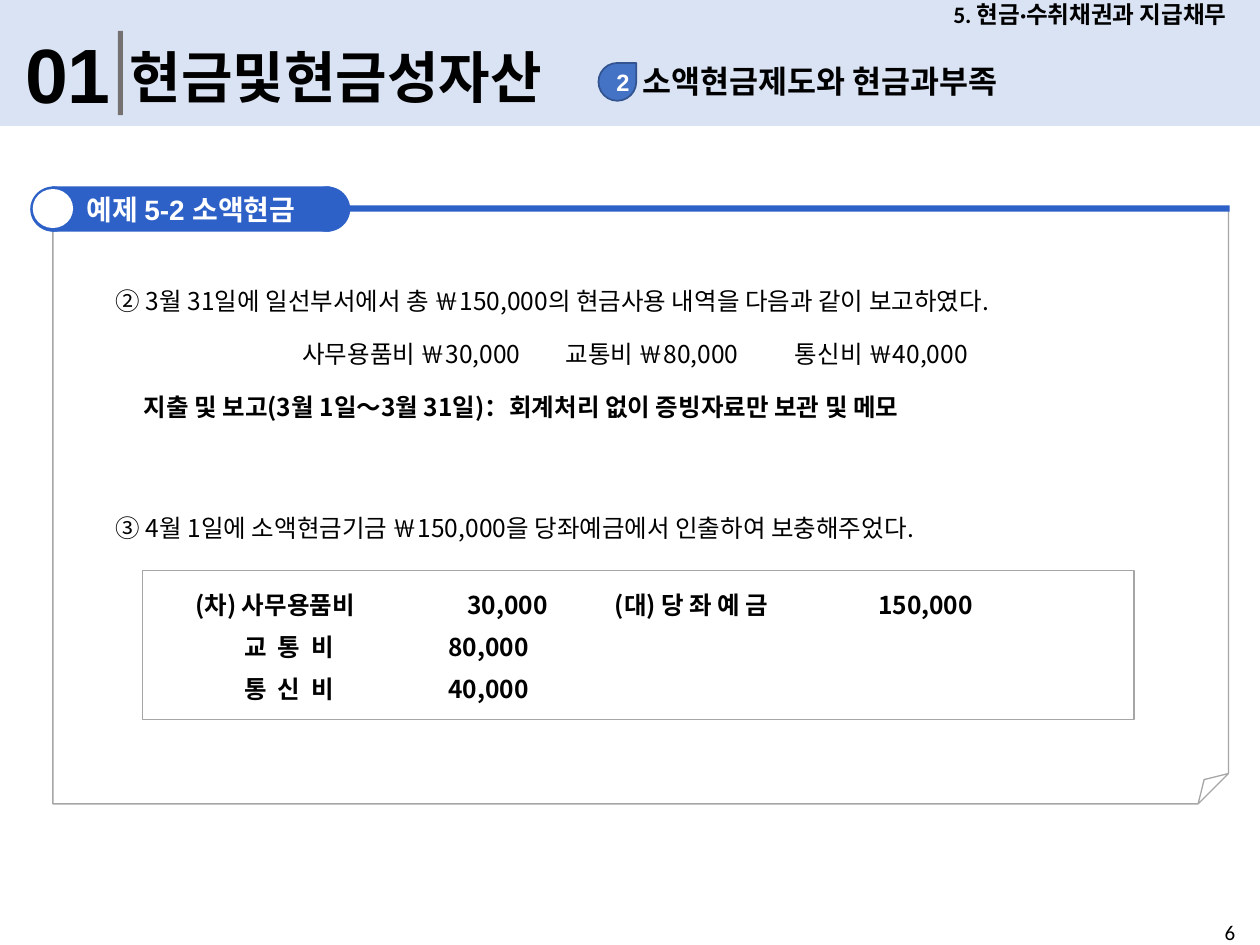
from lxml import etree
from pptx import Presentation
from pptx.dml.color import RGBColor
from pptx.enum.shapes import MSO_SHAPE
from pptx.enum.text import MSO_ANCHOR, PP_ALIGN
from pptx.oxml.ns import qn
from pptx.util import Inches, Pt

RECT, OVAL = MSO_SHAPE.RECTANGLE, MSO_SHAPE.OVAL
TEAR, FOLDED = MSO_SHAPE.TEAR, MSO_SHAPE.FOLDED_CORNER
TOP, MIDDLE = MSO_ANCHOR.TOP, MSO_ANCHOR.MIDDLE
LEFT, CENTER = PP_ALIGN.LEFT, PP_ALIGN.CENTER

COLUMNS, ROWS = 100, 75
HEAD, NUM, BODY = "Calibri", "Arial", "Noto Sans CJK KR"
BLACK, WHITE, GRAY, BAR = "000000", "FFFFFF", "A6A6A6", "767171"
BLUE, PALE, BADGE, BADGE_EDGE = "2D61C8", "DAE3F3", "4472C4", "325491"


def rgb(color):
    """Turn a hex string into a colour."""
    return RGBColor.from_string(color)


class Deck:
    """Hold the style and the current slide, measured on a grid of columns and rows."""

    def __init__(self):
        """Start a presentation with one blank slide."""
        self.prs = Presentation()
        self.prs.slide_width, self.prs.slide_height = Inches(10), Inches(7.5)
        self.s = self.prs.slides.add_slide(self.prs.slide_layouts[6])

    def x(self, columns):
        """Convert columns to a length."""
        return round(self.prs.slide_width * columns / COLUMNS)

    def y(self, rows):
        """Convert rows to a length."""
        return round(self.prs.slide_height * rows / ROWS)

    def box(self, left, top, width, height):
        """Convert a grid box to lengths."""
        return self.x(left), self.y(top), self.x(width), self.y(height)

    def shape(self, kind, at, fill=None, line=None, weight=0.75):
        """Add a preset shape."""
        sp = self.s.shapes.add_shape(kind, *self.box(*at))
        sp.shadow.inherit = False
        if fill:
            sp.fill.solid()
            sp.fill.fore_color.rgb = rgb(fill)
        else:
            sp.fill.background()
        if line:
            sp.line.color.rgb = rgb(line)
            sp.line.width = Pt(weight)
        else:
            sp.line.fill.background()
        return sp

    def text(self, at, content, size, wrap=False, **style):
        """Add a text box with one paragraph."""
        sp = self.s.shapes.add_textbox(*self.box(*at))
        self.frame(sp, wrap=wrap, anchor=style.pop("anchor", TOP))
        self.paragraph(sp, content, size, **style)
        return sp

    def frame(self, sp, wrap=True, anchor=TOP, inset=1):
        """Set wrapping, anchor and side margins of a shape's text."""
        tf = sp.text_frame
        tf.word_wrap, tf.vertical_anchor = wrap, anchor
        tf.margin_left = tf.margin_right = self.x(inset)

    def paragraph(self, sp, content, size, font=HEAD, color=BLACK, bold=True,
                  align=LEFT, tabs=(), indent=0, before=0, leading=None, spread=()):
        """Fill the empty first paragraph or append one, from a string or (text, font) runs."""
        tf = sp.text_frame
        p = tf.add_paragraph() if tf.text else tf.paragraphs[0]
        pPr = p._p.get_or_add_pPr()
        if indent:
            pPr.set("marL", str(self.x(indent)))
        if tabs:
            stops = etree.SubElement(pPr, qn("a:tabLst"))
            for stop in tabs:
                etree.SubElement(stops, qn("a:tab"), pos=str(self.x(stop)), algn="l")
        p.alignment = align
        if before:
            p.space_before = Pt(before)
        if leading:
            p.line_spacing = Pt(leading)
        for words, face in [(content, font)] if isinstance(content, str) else content:
            r = p.add_run()
            r.text = words
            r.font.size, r.font.bold, r.font.name = Pt(size), bold, face
            r.font.color.rgb = rgb(color)
            rPr = r._r.get_or_add_rPr()
            etree.SubElement(rPr, qn("a:ea"), typeface=BODY)
            if words in spread:
                rPr.set("spc", "150")

    def header(self):
        """Draw the title band."""
        self.shape(RECT, (0, 0, 100, 10), PALE)
        self.text((73, 0, 27, 2.3), "5. 현금·수취채권과 지급채무", 13.5,
                  align=CENTER, anchor=MIDDLE, wrap=True)
        self.text((1, 1.6, 9.1, 8.4), "01", 44, font=NUM)
        self.shape(RECT, (9.35, 2.45, 0.4, 6.7), BAR)
        self.text((9.3, 2.9, 40.2, 6.4), "현금및현금성자산", 32)
        self.text((50, 4.4, 34.1, 4), "소액현금제도와 현금과부족", 18)
        sp = self.shape(TEAR, (47.5, 5, 3, 3), BADGE, BADGE_EDGE, 1)
        self.frame(sp, anchor=MIDDLE)
        self.paragraph(sp, "2", 13.5, font=NUM, color=WHITE, align=CENTER)

    def panel(self):
        """Draw the folded page and its example label."""
        page = self.shape(FOLDED, (4.2, 16.6, 93.3, 47.2), line=GRAY)
        guides = page._element.spPr.find(qn("a:prstGeom")).get_or_add_avLst()
        etree.SubElement(guides, qn("a:gd"), name="adj", fmla="val 5100")
        self.shape(RECT, (4.3, 16.3, 93.3, 0.5), BLUE)
        for left in (2.4, 24.1):
            self.shape(OVAL, (left, 14.8, 3.7, 3.6), BLUE)
        sp = self.shape(RECT, (4.1, 14.8, 22.1, 3.6), BLUE)
        self.frame(sp, anchor=MIDDLE)
        self.paragraph(sp, [("예제 ", HEAD), ("5-2 ", NUM), ("소액현금", HEAD)], 16,
                       color=WHITE, align=CENTER)
        self.shape(OVAL, (2.6, 15, 3.2, 3.1), WHITE)

    def example(self):
        """Write the transactions."""
        style = {"size": 14, "font": BODY}
        sp = self.text((8.1, 22.2, 85, 14.2),
                       "② 3월 31일에 일선부서에서 총 ￦150,000의 현금사용 내역을 다음과 같이 보고하였다.",
                       wrap=True, bold=False, **style)
        self.frame(sp, inset=1.1)
        self.paragraph(sp, "\t사무용품비 ￦30,000\t교통비 ￦80,000\t통신비 ￦40,000",
                       bold=False, tabs=(14.8, 35.7, 53.9), before=13.4, **style)
        self.paragraph(sp, "지출 및 보고(3월 1일～3월 31일)：회계처리 없이 증빙자료만 보관 및 메모",
                       indent=2.2, before=13.4, **style)
        sp = self.text((8.1, 40.2, 85, 3.9),
                       "③ 4월 1일에 소액현금기금 ￦150,000을 당좌예금에서 인출하여 보충해주었다.",
                       wrap=True, bold=False, **style)
        self.frame(sp, inset=1.1)

    def journal(self):
        """Write the journal entry in its box."""
        sp = self.shape(RECT, (11.3, 45.3, 78.7, 11.8), WHITE, GRAY)
        self.frame(sp, inset=1.1)
        style = {"size": 14, "font": BODY, "leading": 24}
        self.paragraph(sp, "\t(차) 사무용품비\t30,000\t(대) 당 좌 예 금\t150,000",
                       tabs=(3.1, 24.7, 36.4, 57.3), **style)
        for name, amount in (("교 통 비", "80,000"), ("통 신 비", "40,000")):
            runs = [("\t", BODY), (name, BODY), ("\t" + amount, BODY)]
            self.paragraph(sp, runs, tabs=(7, 23.2), spread=(name,), **style)


def main():
    """Build and save the slide."""
    deck = Deck()
    deck.header()
    deck.panel()
    deck.example()
    deck.journal()
    deck.text((96.2, 72.5, 3.8, 2.5), "6", 12, bold=False)
    deck.prs.save("out.pptx")


if __name__ == "__main__":
    main()
